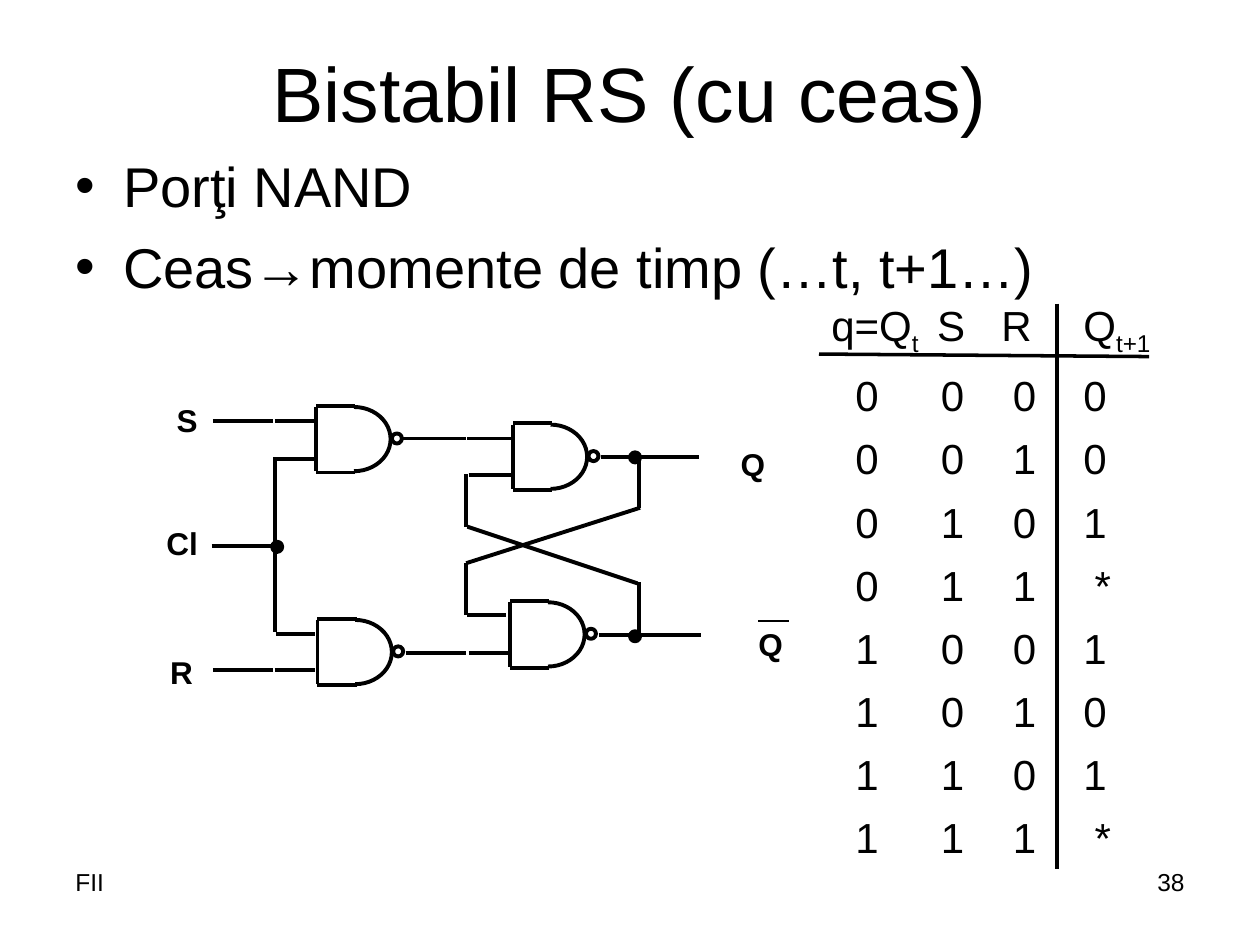
"""Build the slide on the clocked RS flip-flop: bullets, NAND circuit and truth table."""
from typing import NamedTuple

from pptx import Presentation
from pptx import util as u
from pptx.dml.color import RGBColor
from pptx.enum import shapes, text
from pptx.oxml.ns import qn
from lxml import etree

PX = 9144
FONT = "Arial"
COLORS = {"ink": "000000"}
INK = RGBColor.from_string(COLORS["ink"])
WIRE_PT = 2.25
DOT = 8


class Wire(NamedTuple):
    x1: int
    y1: int
    x2: int
    y2: int
    weight: float = WIRE_PT


class Gate(NamedTuple):
    left: int
    top: int


class Label(NamedTuple):
    words: str
    left: int
    top: int
    width: int


class Row(NamedTuple):
    q: str
    s: str
    r: str
    after: str


GATES = [Gate(252, 492), Gate(405, 478), Gate(407, 337), Gate(251, 323)]
DOTS = [(500, 359), (500, 501), (216, 430)]
LABELS = [
    Label("Q", 578, 348, 39),
    Label("Q", 592, 491, 39),
    Label("S", 130, 313, 37),
    Label("R", 125, 513, 38),
    Label("Cl", 122, 411, 45),
]
INPUT_WIRES = [
    Wire(169, 334, 217, 334), Wire(218, 334, 250, 334),
    Wire(219, 364, 250, 364), Wire(218, 404, 218, 363),
    Wire(169, 532, 217, 532), Wire(218, 532, 250, 532),
    Wire(219, 503, 250, 503), Wire(218, 402, 218, 502),
    Wire(168, 433, 216, 433),
]
LINK_WIRES = [
    Wire(320, 348, 370, 348), Wire(371, 348, 406, 348),
    Wire(322, 518, 370, 518), Wire(372, 518, 403, 518),
]
FEEDBACK_WIRES = [
    Wire(372, 377, 406, 377), Wire(370, 418, 370, 376),
    Wire(371, 418, 506, 463), Wire(507, 504, 507, 462),
    Wire(371, 488, 402, 488), Wire(370, 488, 370, 447),
    Wire(508, 403, 370, 447), Wire(507, 403, 507, 362),
]
OUTPUT_WIRES = [
    Wire(477, 363, 506, 363), Wire(508, 363, 555, 363),
    Wire(475, 504, 506, 504), Wire(506, 504, 556, 504),
]
RULES = [
    Wire(839, 241, 839, 690, 2),
    Wire(650, 281, 912, 283, 2),
    Wire(602, 493, 626, 493, 1.5),
]
ROWS = [
    Row("0", "0", "0", "0"), Row("0", "0", "1", "0"),
    Row("0", "1", "0", "1"), Row("0", "1", "1", "*"),
    Row("1", "0", "0", "1"), Row("1", "0", "1", "0"),
    Row("1", "1", "0", "1"), Row("1", "1", "1", "*"),
]
HEADER = [("q=Q", 0), ("t", -25), ("\tS\tR\tQ", 0), ("t+1", -25)]


def add_span(para, words: str, size: float, bold: bool = False, baseline: int = 0) -> None:
    """Append one formatted run."""
    span = para.add_run()
    span.text = words
    span.font.name = FONT
    span.font.size = u.Pt(size)
    span.font.bold = bold
    span.font.color.rgb = INK
    if baseline:
        span.font._element.set("baseline", str(baseline * 1000))


def add_box(page, left: int, top: int, width: int, height: int, wrap: bool = True):
    """Add a text box and return its text frame."""
    box = page.shapes.add_textbox(left * PX, top * PX, width * PX, height * PX)
    box.text_frame.word_wrap = wrap
    return box.text_frame


def add_paragraph(frame, first: bool, before: float):
    """Return the next paragraph, spaced from the one above."""
    para = frame.paragraphs[0] if first else frame.add_paragraph()
    if not first:
        para.space_before = u.Pt(before)
    return para


def set_tabs(para, stops: list[int]) -> None:
    """Give a paragraph its left tab stops."""
    tabs = etree.SubElement(para._p.get_or_add_pPr(), qn("a:tabLst"))
    for stop in stops:
        etree.SubElement(tabs, qn("a:tab"), pos=str(stop * PX), algn="l")


def draw_wire(page, wire: Wire) -> None:
    """Draw a straight line without shadow."""
    ends = [value * PX for value in wire[:4]]
    line = page.shapes.add_connector(shapes.MSO_CONNECTOR.STRAIGHT, *ends)
    line.line.color.rgb = INK
    line.line.width = u.Pt(wire.weight)
    etree.SubElement(line._element.spPr, qn("a:effectLst"))


def draw_outline(page, kind, left: int, top: int, width: int, height: int, filled: bool = False):
    """Draw a preset shape with an ink outline."""
    shape = page.shapes.add_shape(kind, left * PX, top * PX, width * PX, height * PX)
    shape.shadow.inherit = False
    if filled:
        shape.fill.solid()
        shape.fill.fore_color.rgb = INK
    else:
        shape.fill.background()
    shape.line.color.rgb = INK
    shape.line.width = u.Pt(WIRE_PT)
    return shape


def draw_gate(page, gate: Gate) -> None:
    """Draw a NAND gate: half round, three straight sides and a bubble."""
    left, top = gate
    arc = draw_outline(page, shapes.MSO_SHAPE.ARC, left + 1, top, 58, 51)
    arc.adjustments[0] = 162
    arc.adjustments[1] = 54
    for y in (top - 1, top + 52):
        draw_wire(page, Wire(left + 31, y, left, y))
    draw_wire(page, Wire(left, top, left, top + 51))
    draw_outline(page, shapes.MSO_SHAPE.OVAL, left + 60, top + 21, DOT, DOT)


def draw_label(page, label: Label) -> None:
    """Write a bold signal name."""
    frame = add_box(page, label.left, label.top, label.width, 40, wrap=False)
    para = frame.paragraphs[0]
    para.alignment = text.PP_ALIGN.CENTER
    add_span(para, label.words, 18, bold=True)


def write_title(page) -> None:
    """Place and fill the title."""
    title = page.shapes.title
    title.left, title.top, title.width, title.height = (n * PX for n in (50, 30, 900, 85))
    title.text_frame.vertical_anchor = text.MSO_ANCHOR.MIDDLE
    para = title.text_frame.paragraphs[0]
    para.alignment = text.PP_ALIGN.CENTER
    add_span(para, "Bistabil RS (cu ceas)", 44)


def write_bullets(page) -> None:
    """Write the bulleted points."""
    frame = add_box(page, 50, 115, 900, 555)
    for index, words in enumerate(["Porţi NAND", "Ceas→momente de timp (…t, t+1…)"]):
        para = add_paragraph(frame, index == 0, 8)
        props = para._p.get_or_add_pPr()
        props.set("marL", str(38 * PX))
        props.set("indent", str(-38 * PX))
        etree.SubElement(props, qn("a:buFont"), typeface=FONT)
        etree.SubElement(props, qn("a:buChar"), char="•")
        add_span(para, words, 32)


def write_truth_table(page) -> None:
    """Write the truth table on tab stops."""
    frame = add_box(page, 650, 233, 307, 442)
    header = add_paragraph(frame, True, 0)
    set_tabs(header, [84, 135, 200])
    for words, baseline in HEADER:
        add_span(header, words, 24, baseline=baseline)
    for row in ROWS:
        para = add_paragraph(frame, False, 7.25)
        set_tabs(para, [19, 87, 144, 209 if row.after == "*" else 200])
        add_span(para, "".join("\t" + value for value in row), 24)


def write_footer(page) -> None:
    """Write the course name and the page number."""
    for words, left, align in [("38", 717, text.PP_ALIGN.RIGHT), ("FII", 50, text.PP_ALIGN.LEFT)]:
        para = add_box(page, left, 683, 233, 52).paragraphs[0]
        para.alignment = align
        add_span(para, words, 14)


def main() -> None:
    deck = Presentation()
    deck.slide_width, deck.slide_height = 1000 * PX, 750 * PX
    page = deck.slides.add_slide(deck.slide_layouts[5])
    write_title(page)
    write_bullets(page)
    write_truth_table(page)
    for wire in INPUT_WIRES + LINK_WIRES + FEEDBACK_WIRES + OUTPUT_WIRES + RULES:
        draw_wire(page, wire)
    for gate in GATES:
        draw_gate(page, gate)
    for left, top in DOTS:
        draw_outline(page, shapes.MSO_SHAPE.OVAL, left, top, DOT, DOT, filled=True)
    for label in LABELS:
        draw_label(page, label)
    write_footer(page)
    deck.save("out.pptx")


if __name__ == "__main__":
    main()
